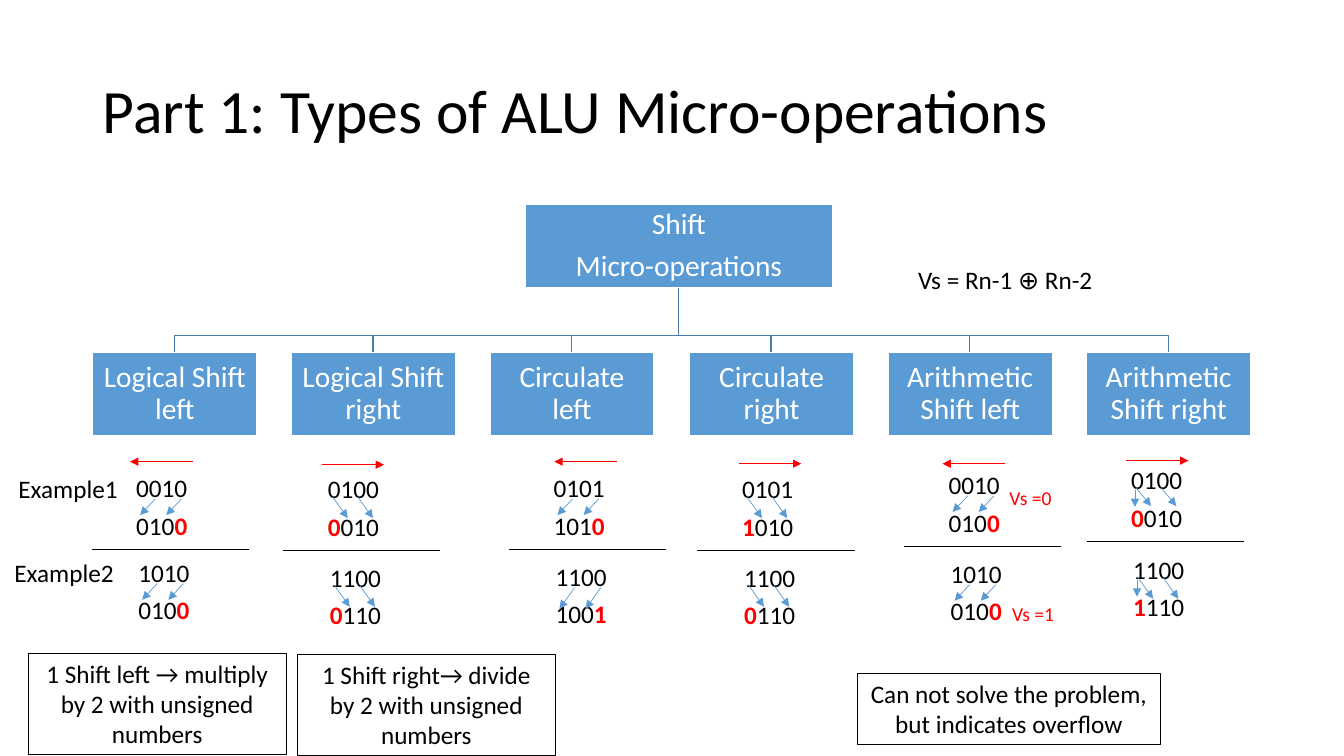
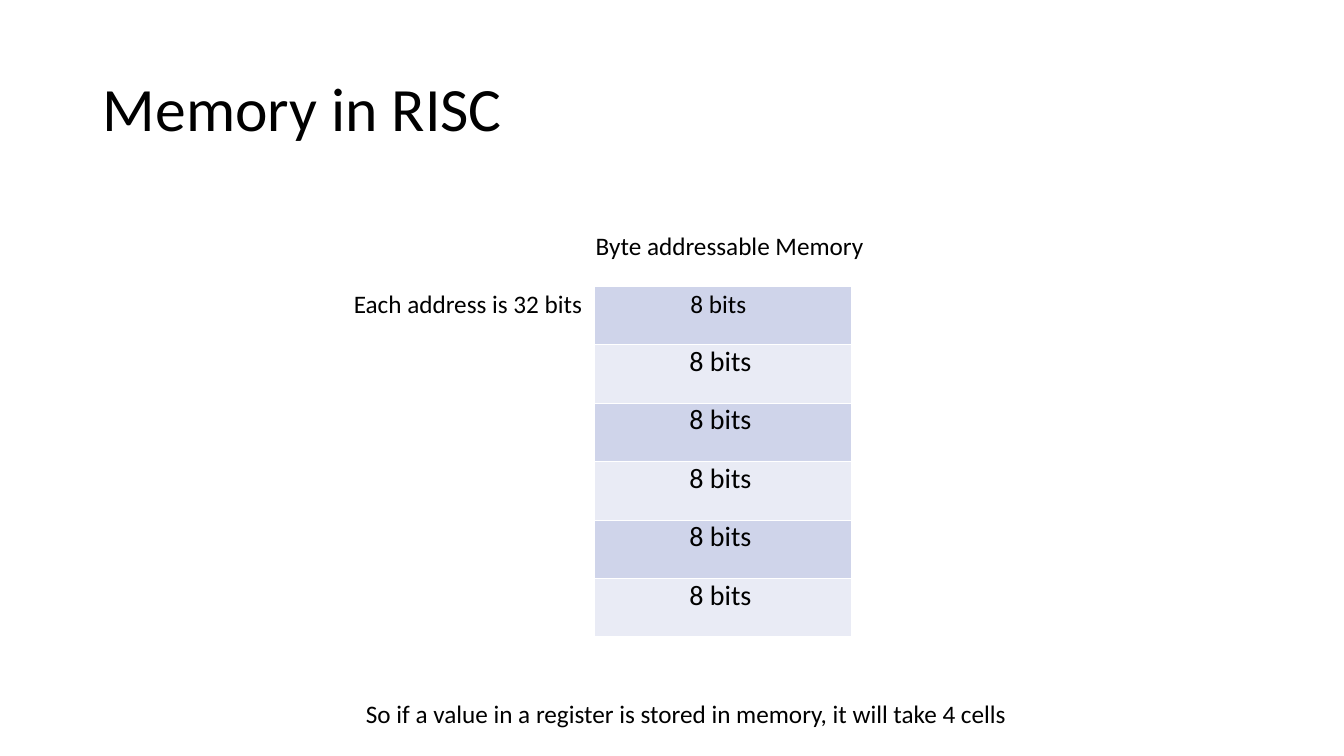
from dataclasses import dataclass
from typing import Optional

from lxml.etree import SubElement
from pptx import Presentation
from pptx.dml.color import RGBColor
from pptx.enum.shapes import MSO_CONNECTOR as CONN, MSO_SHAPE as SHAPE
from pptx.enum.text import MSO_ANCHOR as ANCHOR, MSO_AUTO_SIZE as AUTO, PP_ALIGN as ALIGN
from pptx.oxml.ns import qn
from pptx.util import Emu, Pt

# Shared look
EMU_PER_PX = 9144  # 100 px to the inch
FONT = "Calibri"
COLORS = {
    "black": "000000", "white": "FFFFFF", "red": "FF0000", "blue": "5B9BD5",
    "tree": "497CAB", "band_dark": "CFD4EA", "band_light": "E9EBF5",
}
INSETS = (10, 5, 10, 5)
TIGHT = (0, 1, 0, 0)


@dataclass(frozen=True)
class Box:
    x: int
    y: int
    w: int
    h: int


@dataclass(frozen=True)
class Run:
    text: str
    color: str = "black"
    bold: bool = False


@dataclass(frozen=True)
class Example:
    top: int
    before: str
    after: str
    drop: int


@dataclass(frozen=True)
class Operation:
    name: str
    left: bool
    x: int
    arrow_x: int
    arrow_y: int
    first: Example
    second: Example
    keeps_sign: bool = False


@dataclass(frozen=True)
class Label:
    text: str
    box: Box
    size: int = 18
    color: str = "black"
    outline: Optional[str] = None
    align: ALIGN = ALIGN.CENTER
    shape: SHAPE = SHAPE.RECTANGLE
    anchor: ANCHOR = ANCHOR.TOP


OPERATIONS = [
    Operation("Logical Shift left", True, 73, 129, 458,
              Example(464, "0010", "0100", 16), Example(548, "1010", "0100", 16)),
    Operation("Logical Shift right", False, 263, 319, 461,
              Example(465, "0100", "0010", 21), Example(553, "1100", "0110", 21)),
    Operation("Circulate\vleft", True, 487, 550, 458,
              Example(464, "0101", "1010", 16), Example(552, "1100", "1001", 21)),
    Operation("Circulate right", False, 674, 733, 460,
              Example(465, "0101", "1010", 21), Example(553, "1100", "0110", 21)),
    Operation("Arithmetic Shift left", True, 879, 935, 460,
              Example(461, "0010", "0100", 16), Example(549, "1010", "0100", 16)),
    Operation("Arithmetic Shift right", False, 1060, 1117, 457,
              Example(456, "0100", "0010", 18), Example(545, "1100", "1110", 21), True),
]

SHIFT_LABELS = [
    Label("1 Shift left → multiply by 2 with unsigned numbers", Box(28, 648, 256, 101),
          outline="black"),
    Label("1 Shift right→ divide by 2 with unsigned numbers", Box(295, 649, 256, 101),
          outline="black"),
    Label("Can not solve the problem, but indicates overflow", Box(851, 668, 300, 71),
          outline="black"),
    Label("Vs =1", Box(971, 574, 108, 69), 14, "red", shape=SHAPE.OVAL, anchor=ANCHOR.MIDDLE),
    Label("Vs =0", Box(976, 459, 93, 69), 14, "red", shape=SHAPE.OVAL, anchor=ANCHOR.MIDDLE),
    Label("Vs = Rn-1 ⊕ Rn-2", Box(901, 257, 210, 40), align=ALIGN.LEFT),
    Label("Example1", Box(2, 465, 131, 40)),
    Label("Example2", Box(-2, 548, 131, 40)),
]


def px(n: int) -> Emu:
    return Emu(n * EMU_PER_PX)


def rgb(name: str) -> RGBColor:
    return RGBColor.from_string(COLORS[name])


def place(box: Box) -> tuple:
    return px(box.x), px(box.y), px(box.w), px(box.h)


def write(tf, *paras, size=18, color="black", align=ALIGN.LEFT, anchor=ANCHOR.TOP,
          insets=INSETS, spacing=None, before=None, after=None) -> None:
    """Fill a text frame; a paragraph is a string or a list of Run."""
    tf.word_wrap = True
    tf.vertical_anchor = anchor
    tf.margin_left, tf.margin_top, tf.margin_right, tf.margin_bottom = map(px, insets)
    for i, para in enumerate(paras):
        p = tf.paragraphs[0] if i == 0 else tf.add_paragraph()
        p.alignment = align
        p.line_spacing = spacing
        p.space_before = before
        p.space_after = after
        for run in [Run(para, color)] if isinstance(para, str) else para:
            for j, line in enumerate(run.text.split("\v")):
                if j:
                    p.add_line_break()
                r = p.add_run()
                r.text = line
                r.font.name = FONT
                r.font.size = Pt(size)
                r.font.bold = run.bold
                r.font.color.rgb = rgb(run.color)


def add_shape(slide, kind: SHAPE, box: Box, fill: Optional[str] = None,
              outline: Optional[str] = None, weight: float = 0.75):
    sp = slide.shapes.add_shape(kind, *place(box))
    sp.shadow.inherit = False
    if fill:
        sp.fill.solid()
        sp.fill.fore_color.rgb = rgb(fill)
    else:
        sp.fill.background()
    if outline:
        sp.line.color.rgb = rgb(outline)
        sp.line.width = Pt(weight)
    else:
        sp.line.fill.background()
    return sp


def add_text(slide, box: Box, *paras, **fmt) -> None:
    write(slide.shapes.add_textbox(*place(box)).text_frame, *paras, **fmt)


def add_line(slide, x1: int, y1: int, x2: int, y2: int, color: str,
             weight: float, arrow: bool = True) -> None:
    c = slide.shapes.add_connector(CONN.STRAIGHT, px(x1), px(y1), px(x2), px(y2))
    c.line.color.rgb = rgb(color)
    c.line.width = Pt(weight)
    sp_pr = c._element.spPr
    if arrow:
        SubElement(sp_pr.find(qn("a:ln")), qn("a:tailEnd"), type="triangle")
    SubElement(sp_pr, qn("a:effectLst"))


def add_label(slide, label: Label) -> None:
    sp = add_shape(slide, label.shape, label.box, outline=label.outline)
    write(sp.text_frame, label.text, size=label.size, color=label.color,
          align=label.align, anchor=label.anchor)


def new_slide(prs, title: str, box: Box, **fmt):
    slide = prs.slides.add_slide(prs.slide_layouts[5])
    sp = slide.shapes.title
    sp.left, sp.top, sp.width, sp.height = place(box)
    write(sp.text_frame, title, size=44, anchor=ANCHOR.MIDDLE, **fmt)
    sp.text_frame.auto_size = AUTO.NONE
    return slide


def add_tree(slide) -> None:
    """Root box, one branch and one child box per operation."""
    root = Box(521, 203, 305, 82)
    children = [Box(92 + round(197.2 * i), 350, 163, 82) for i in range(len(OPERATIONS))]
    mid = root.x + root.w // 2
    for child in children:
        end = child.x + child.w // 2
        fb = slide.shapes.build_freeform(px(mid), px(284))
        points = [(mid, 333), (end, 333), (end, child.y)]
        fb.add_line_segments([(px(x), px(y)) for x, y in points], close=False)
        sp = fb.convert_to_shape()
        sp.shadow.inherit = False
        sp.fill.background()
        sp.line.color.rgb = rgb("tree")
        sp.line.width = Pt(1)
    names = [["Shift", "Micro-operations"]] + [[op.name] for op in OPERATIONS]
    for box, paras in zip([root] + children, names):
        sp = add_shape(slide, SHAPE.RECTANGLE, box, "blue", "white", 1)
        write(sp.text_frame, *paras, size=21, color="white", align=ALIGN.CENTER,
              anchor=ANCHOR.MIDDLE, insets=(1, 1, 1, 1), spacing=0.9, after=Pt(7))


def add_example(slide, op: Operation, ex: Example, x: int) -> None:
    """Bits before and after, with the incoming bit in red."""
    if op.left:
        result = [Run(ex.after[:-1]), Run(ex.after[-1], "red", True)]
        start, gap, top, shift = 81, 26, ex.top + 31, -15
    else:
        result = [Run(ex.after[0], "red", True), Run(ex.after[1:])]
        start, gap, top, shift = 67, 25, ex.top + 28, 15
    for dy, bits in ((0, ex.before), (37, result)):
        add_text(slide, Box(x, ex.top + dy, 175, 40), bits, align=ALIGN.CENTER)
    for from_x in (x + start, x + start + gap):
        add_line(slide, from_x, top, from_x + shift, top + ex.drop, "blue", 0.5)
    if op.keeps_sign:
        add_line(slide, x + 66, top + 2, x + 66, top + 19, "blue", 0.5)


def add_operation(slide, op: Operation) -> None:
    ends = (op.arrow_x, op.arrow_x + 62)
    tail, tip = reversed(ends) if op.left else ends
    add_line(slide, tail, op.arrow_y, tip, op.arrow_y, "red", 1)
    add_example(slide, op, op.first, op.x)
    add_example(slide, op, op.second, op.x + 2)
    rule_y = op.first.top + 81
    add_line(slide, op.x + 18, rule_y, op.x + 174, rule_y, "black", 0.5, arrow=False)


def build_shift_slide(prs) -> None:
    slide = new_slide(prs, "Part 1: Types of ALU Micro-operations",
                      Box(92, 40, 1150, 145), spacing=0.9)
    add_tree(slide)
    for op in OPERATIONS:
        add_operation(slide, op)
    for label in SHIFT_LABELS:
        add_label(slide, label)


def write_cell(cell, text: str, indent: int, top: int, **fmt) -> None:
    write(cell.text_frame, text, **fmt)
    cell.margin_left, cell.margin_top = px(indent), px(top)
    cell.margin_right = cell.margin_bottom = 0


def build_memory_slide(prs) -> None:
    slide = new_slide(prs, "Memory in RISC", Box(102, 68, 450, 76), insets=TIGHT)
    # Memory cells, with the address beside the first one
    rows, row_h, col_w = 6, 58, 255
    frame = slide.shapes.add_table(rows, 2, *place(Box(335, 284, 2 * col_w, rows * row_h)))
    table = frame.table
    table.first_row = table.horz_banding = False
    for col in table.columns:
        col.width = px(col_w)
    for i, row in enumerate(table.rows):
        row.height = px(row_h)
        address, byte = row.cells
        address.fill.background()
        byte.fill.solid()
        byte.fill.fore_color.rgb = rgb("band_light" if i % 2 else "band_dark")
        if i == 0:
            write_cell(address, "Each address is 32 bits", 16, 3, before=Pt(2.4))
            write_cell(byte, "8 bits", 95, 3, before=Pt(2.4))
        else:
            write_cell(byte, "8 bits", 94, 0, size=20)
    # Captions
    add_text(slide, Box(591, 228, 269, 33), "Byte addressable Memory", insets=TIGHT, before=Pt(1))
    add_text(slide, Box(363, 692, 772, 32),
             "So if a value in a register is stored in memory, it will take 4 cells",
             insets=TIGHT, before=Pt(1))


def main() -> None:
    prs = Presentation()
    prs.slide_width, prs.slide_height = Emu(12192000), Emu(6858000)
    build_shift_slide(prs)
    build_memory_slide(prs)
    prs.save("out.pptx")


if __name__ == "__main__":
    main()
